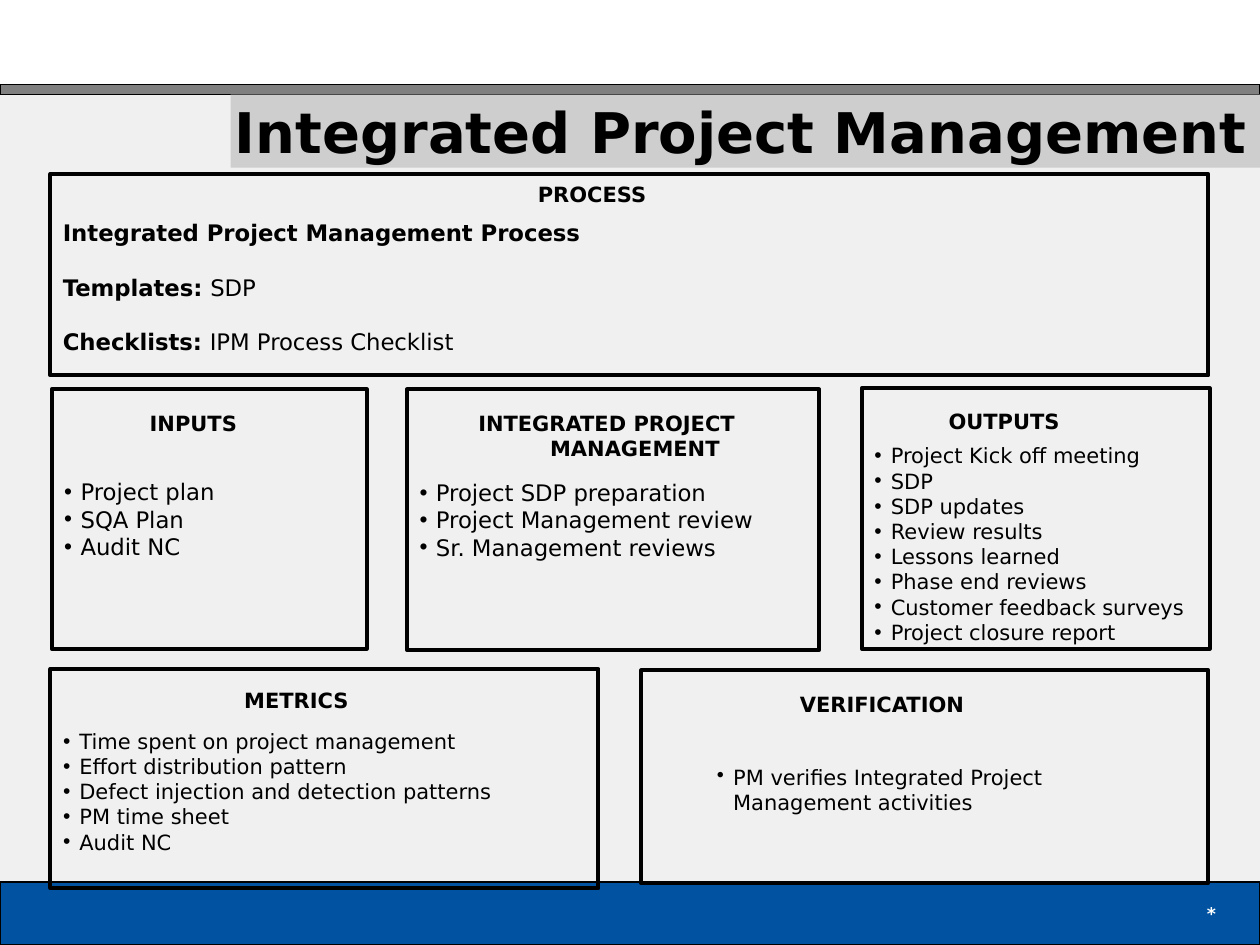
from dataclasses import dataclass
from typing import NamedTuple

from lxml import etree
from pptx import Presentation
from pptx.dml.color import RGBColor
from pptx.enum.shapes import MSO_SHAPE
from pptx.enum.text import MSO_ANCHOR, MSO_AUTO_SIZE, PP_ALIGN
from pptx.oxml.ns import qn
from pptx.util import Inches, Pt

RECTANGLE = MSO_SHAPE.RECTANGLE
TOP, MIDDLE = MSO_ANCHOR.TOP, MSO_ANCHOR.MIDDLE
LEFT, CENTER, RIGHT = PP_ALIGN.LEFT, PP_ALIGN.CENTER, PP_ALIGN.RIGHT
NO_AUTOFIT = MSO_AUTO_SIZE.NONE

BLACK = RGBColor(0x00, 0x00, 0x00)
WHITE = RGBColor(0xFF, 0xFF, 0xFF)
BLUE = RGBColor(0x01, 0x52, 0xA1)
GREY = RGBColor(0x80, 0x80, 0x80)
LIGHT_GREY = RGBColor(0xCE, 0xCE, 0xCE)
PAPER = RGBColor(0xF0, 0xF0, 0xF0)

FONT = "DejaVu Sans"
COLUMNS, ROWS = 100, 75
COMPARISON_LAYOUT = 4
HANGING = Inches(0.13)
HEADING_LINE = 0.2  # inches taken by one heading line


class Area(NamedTuple):
    """Place and size in columns and rows of the slide grid."""
    left: float
    top: float
    width: float
    height: float


@dataclass
class Band:
    area: Area
    fill: RGBColor
    outlined: bool


@dataclass
class Heading:
    text: str
    area: Area


@dataclass
class ListBox:
    area: Area
    items: list[str]
    size: int
    heading_lines: int = 0


BANDS = [
    Band(Area(0, 70, 100, 5), BLUE, True),
    Band(Area(0, 0, 100, 6.7), WHITE, False),
    Band(Area(0, 6.7, 100, 0.8), GREY, True),
]
LIST_BOXES = [
    ListBox(Area(4, 53.1, 43.5, 17.4),
            ["Time spent on project management", "Effort distribution pattern",
             "Defect injection and detection patterns", "PM time sheet", "Audit NC"], 12, 1),
    ListBox(Area(32.3, 30.9, 32.7, 20.7),
            ["Project SDP preparation", "Project Management review",
             "Sr. Management reviews"], 13),
    ListBox(Area(4.1, 30.9, 25, 20.6), ["Project plan", "SQA Plan", "Audit NC"], 13),
    ListBox(Area(68.4, 30.8, 27.6, 20.7),
            ["Project Kick off meeting", "SDP", "SDP updates", "Review results",
             "Lessons learned", "Phase end reviews", "Customer feedback surveys",
             "Project closure report"], 12, 2),
]
HEADINGS = [
    Heading("PROCESS", Area(41.7, 13.9, 14.2, 3)),
    Heading("METRICS", Area(18.4, 54.1, 11.7, 3)),
    Heading("OUTPUTS", Area(74.3, 31.9, 11.7, 3)),
    Heading("INPUTS", Area(10.9, 32.1, 11.7, 3)),
    Heading("VERIFICATION", Area(62.5, 54.4, 18.3, 3)),
]
PROCESS_AREA = Area(4, 13.8, 91.9, 16)
PROCESS_LINES = [
    ("Integrated Project Management Process", ""),
    ("Templates: ", "SDP"),
    ("Checklists: ", "IPM Process Checklist"),
]
VERIFICATION_AREA = Area(50.9, 53.2, 45, 16.9)

presentation = Presentation()
presentation.slide_width, presentation.slide_height = Inches(10), Inches(7.5)
slide = presentation.slides.add_slide(presentation.slide_layouts[COMPARISON_LAYOUT])


def to_lengths(area: Area) -> list[int]:
    column = presentation.slide_width / COLUMNS
    row = presentation.slide_height / ROWS
    return [round(value * unit) for value, unit in zip(area, (column, row, column, row))]


def place(shape, area: Area) -> None:
    shape.left, shape.top, shape.width, shape.height = to_lengths(area)


def apply(target, formats: dict) -> None:
    for name, value in formats.items():
        setattr(target, name, value)


def set_frame(shape, anchor=TOP, left_margin: float = 0.1, heading_lines: int = 0):
    frame = shape.text_frame
    apply(frame, {
        "word_wrap": True, "auto_size": NO_AUTOFIT, "vertical_anchor": anchor,
        "margin_left": Inches(left_margin), "margin_right": Inches(0.1),
        "margin_top": Inches(0.05 + heading_lines * HEADING_LINE),
        "margin_bottom": Inches(0.05),
    })
    return frame


def add_run(paragraph, text: str, size: int, bold: bool = False,
            color: RGBColor = BLACK) -> None:
    run = paragraph.add_run()
    run.text = text
    apply(run.font, {"name": FONT, "size": Pt(size), "bold": bold})
    run.font.color.rgb = color


def paragraph_at(frame, index: int, alignment=LEFT, space_before: float = 0):
    """Return the frame's own first paragraph, or a new one after it."""
    paragraph = frame.add_paragraph() if index else frame.paragraphs[0]
    apply(paragraph, {"alignment": alignment,
                      "space_before": Pt(space_before if index else 0)})
    return paragraph


def fill_list(frame, items: list[str], size: int) -> None:
    for index, item in enumerate(items):
        paragraph = paragraph_at(frame, index)
        properties = paragraph._p.get_or_add_pPr()
        properties.set("marL", str(HANGING))
        properties.set("indent", str(-HANGING))
        color = etree.SubElement(properties, qn("a:buClr"))
        etree.SubElement(color, qn("a:srgbClr"), val=str(BLACK))
        etree.SubElement(properties, qn("a:buChar"), char="•")
        add_run(paragraph, item, size)


def outline(shape, width: float = 2.25) -> None:
    shape.line.color.rgb = BLACK
    shape.line.width = Pt(width)


def add_rectangle(area: Area):
    shape = slide.shapes.add_shape(RECTANGLE, *to_lengths(area))
    shape.shadow.inherit = False
    return shape


def add_frame(area: Area):
    shape = add_rectangle(area)
    shape.fill.background()
    outline(shape)
    return shape


def add_band(band: Band) -> None:
    """Draw a band behind the placeholders."""
    shape = add_rectangle(band.area)
    shape.fill.solid()
    shape.fill.fore_color.rgb = band.fill
    if band.outlined:
        outline(shape, 0.75)
    else:
        shape.line.fill.background()
    slide.shapes.title.element.addprevious(shape.element)


def add_label(text: str, area: Area, size: int = 12, color: RGBColor = BLACK,
              alignment=LEFT, anchor=TOP) -> None:
    frame = set_frame(slide.shapes.add_textbox(*to_lengths(area)), anchor)
    add_run(paragraph_at(frame, 0, alignment), text, size, True, color)


def fill_title() -> None:
    title = slide.shapes.title
    place(title, Area(18.3, 7.5, 81.7, 5.8))
    title.fill.solid()
    title.fill.fore_color.rgb = LIGHT_GREY
    frame = set_frame(title, MIDDLE, left_margin=0)
    add_run(paragraph_at(frame, 0, RIGHT), "Integrated Project Management", 32, True)


def fill_list_box(placeholder, box: ListBox) -> None:
    place(placeholder, box.area)
    outline(placeholder)
    fill_list(set_frame(placeholder, MIDDLE, heading_lines=box.heading_lines),
              box.items, box.size)


def add_process() -> None:
    frame = set_frame(add_frame(PROCESS_AREA), MIDDLE, heading_lines=1)
    for index, (label, value) in enumerate(PROCESS_LINES):
        paragraph = paragraph_at(frame, index, space_before=15.5)
        add_run(paragraph, label, 13, True)
        if value:
            add_run(paragraph, value, 13)


def add_centre_heading() -> None:
    frame = set_frame(slide.shapes.add_textbox(*to_lengths(Area(32.3, 32.1, 31.7, 5))))
    for index, text in enumerate(["INTEGRATED PROJECT", "MANAGEMENT"]):
        paragraph = paragraph_at(frame, index, CENTER)
        paragraph._p.get_or_add_pPr().set("marL", str(Inches(0.45 * index)))
        add_run(paragraph, text, 12, True)


def main() -> None:
    slide.background.fill.solid()
    slide.background.fill.fore_color.rgb = PAPER
    for band in BANDS:
        add_band(band)
    fill_title()
    bodies = [shape for shape in slide.placeholders if shape.placeholder_format.idx > 0]
    for placeholder, box in zip(bodies, LIST_BOXES):
        fill_list_box(placeholder, box)
    add_process()
    add_frame(VERIFICATION_AREA)
    for heading in HEADINGS:
        add_label(heading.text, heading.area)
    add_centre_heading()
    verification = slide.shapes.add_textbox(*to_lengths(Area(55.9, 60.2, 32.5, 5)))
    fill_list(set_frame(verification),
              ["PM verifies Integrated Project Management activities"], 12)
    add_label("*", Area(76.7, 70, 20.8, 5), 10, WHITE, RIGHT, MIDDLE)
    presentation.save("out.pptx")


if __name__ == "__main__":
    main()
